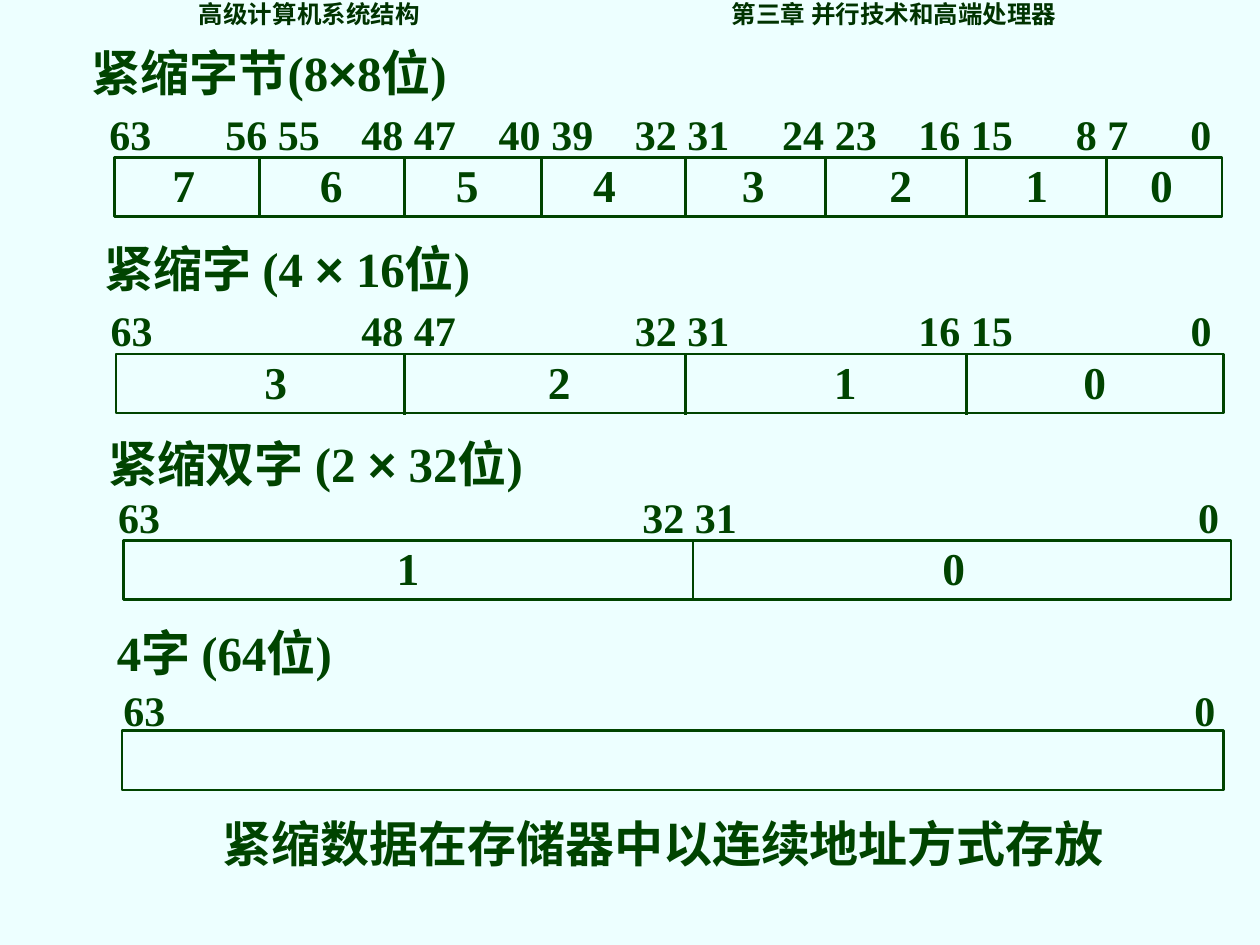
from dataclasses import dataclass

from lxml.etree import SubElement
from pptx import Presentation
from pptx.dml.color import RGBColor
from pptx.enum.shapes import MSO_CONNECTOR, MSO_SHAPE
from pptx.enum.text import MSO_ANCHOR, MSO_AUTO_SIZE, PP_ALIGN
from pptx.oxml.ns import qn
from pptx.util import Inches, Pt


@dataclass(frozen=True)
class Theme:
    background: RGBColor = RGBColor(0xED, 0xFF, 0xFF)
    ink: RGBColor = RGBColor(0x00, 0x44, 0x00)
    header_ink: RGBColor = RGBColor(0x00, 0x33, 0x00)
    latin: str = "Times New Roman"
    sign: str = "Arial"
    asian: str = "Noto Sans CJK SC"
    heading: int = 28
    cell: int = 26
    bit: int = 24
    header: int = 14
    line: float = 1.5


theme = Theme()
deck = Presentation()
deck.slide_width, deck.slide_height = Inches(10), Inches(7.5)
COLUMN = deck.slide_width / 10
ROW = deck.slide_height / 7.5


def place(shape, left, top, width, height):
    """Put a shape on the grid and set up its text frame."""
    shape.left, shape.width = int(left * COLUMN), int(width * COLUMN)
    shape.top, shape.height = int(top * ROW), int(height * ROW)
    frame = shape.text_frame
    frame.word_wrap = True
    frame.auto_size = MSO_AUTO_SIZE.NONE
    frame.vertical_anchor = MSO_ANCHOR.TOP
    return frame.paragraphs[0]


def write(para, runs, size, color=theme.ink, font=theme.latin, spacing=1.0,
          stops=(), align="l", origin=0):
    """Write runs; stops are slide columns, origin is the box's left edge."""
    para.alignment = PP_ALIGN.JUSTIFY
    para.line_spacing = spacing
    if stops:
        tabs = SubElement(para._p.get_or_add_pPr(), qn("a:tabLst"))
        for stop in stops:
            offset = int((stop - origin - 0.1) * COLUMN)
            SubElement(tabs, qn("a:tab"), pos=str(offset), algn=align)
    for text in runs:
        span = para.add_run()
        span.text = text
        span.font.size, span.font.bold = Pt(size), True
        span.font.color.rgb = color
        span.font.name = theme.sign if text == "×" else font
        SubElement(span._r.get_or_add_rPr(), qn("a:ea"), typeface=theme.asian)


page = deck.slides.add_slide(deck.slide_layouts[5])
page.background.fill.solid()
page.background.fill.fore_color.rgb = theme.background

# Running header
para = place(page.shapes.add_textbox(0, 0, 0, 0), 1.48, 0.01, 7.01, 0.27)
write(para, ["高级计算机系统结构\t第三章 并行技术和高端处理器"], theme.header,
      theme.header_ink, theme.asian, 0.7, [5.81], origin=1.48)
para.alignment = PP_ALIGN.LEFT

# Packed formats: heading, bit numbers, register bar, cells and dividers
byte_edges = [2.06, 3.21, 4.3, 5.44, 6.55, 7.67, 8.78]
byte_stops = [1.79, 2.87, 3.96, 5.04, 6.21, 7.29, 8.54, 9.45]
formats = [
    dict(heading=["紧缩字节(8", "×", "8位)"], heading_box=(0.63, 0.29, 3.48),
         bits_box=(0.77, 0.81), bar=(0.91, 1.25, 8.79), lanes=8,
         centers=[1.46, 2.63, 3.71, 4.8, 5.98, 7.15, 8.23, 9.22],
         edges=byte_edges, stops=byte_stops),
    dict(heading=["紧缩字 (4 ", "×", " 16位)"], heading_box=(0.73, 1.84, 3.45),
         bits_box=(0.78, 2.37), bar=(0.92, 2.81, 8.79), lanes=4,
         centers=[2.19, 4.44, 6.71, 8.69],
         edges=byte_edges[1::2], stops=byte_stops[1::2]),
    dict(heading=["紧缩双字 (2 ", "×", " 32位)"], heading_box=(0.76, 3.39, 4.04),
         bits_box=(0.84, 3.85), bar=(0.98, 4.29, 8.79), lanes=2,
         centers=[3.24, 7.57], edges=[5.5], stops=[5.1, 9.51]),
    dict(heading=["4字 (64位)"], heading_box=(0.83, 4.89, 2.88),
         bits_box=(0.88, 5.38), bar=(0.97, 5.8, 8.74), lanes=1,
         centers=[], edges=[], stops=[9.48]),
]

for index, packed in enumerate(formats):
    # Heading
    box = page.shapes.add_textbox(0, 0, 0, 0) if index else page.shapes.title
    write(place(box, *packed["heading_box"], 0.52), packed["heading"], theme.heading)

    # Register bar with its lane numbers
    left, top, width = packed["bar"]
    bar = page.shapes.add_shape(MSO_SHAPE.RECTANGLE, 0, 0, 0, 0)
    bar.shadow.inherit = False
    bar.fill.background()
    bar.line.color.rgb, bar.line.width = theme.ink, Pt(theme.line)
    para = place(bar, left, top, width, 0.47)
    if packed["centers"]:
        lanes = "".join(f"\t{lane}" for lane in reversed(range(packed["lanes"])))
        write(para, [lanes], theme.cell, spacing=0.9, stops=packed["centers"],
              align="ctr", origin=left)

    # Bit numbers on both sides of every lane edge
    step = 64 // packed["lanes"]
    pairs = [f"{bit} {bit - 1}" for bit in range(64 - step, 0, -step)]
    bits_left, bits_top = packed["bits_box"]
    para = place(page.shapes.add_textbox(0, 0, 0, 0), bits_left, bits_top,
                 10 - bits_left, 0.5)
    write(para, ["\t".join(["63", *pairs, "0"])], theme.bit,
          stops=packed["stops"], origin=bits_left)

    # Dividers
    for edge in packed["edges"]:
        x = int(edge * COLUMN)
        divider = page.shapes.add_connector(
            MSO_CONNECTOR.STRAIGHT, x, int((top + 0.01) * ROW),
            x, int((top + 0.48) * ROW))
        divider.line.color.rgb, divider.line.width = theme.ink, Pt(theme.line)
        SubElement(divider._element.spPr, qn("a:effectLst"))

# Closing statement
para = place(page.shapes.add_textbox(0, 0, 0, 0), 1.67, 6.41, 7.55, 0.61)
write(para, ["紧缩数据在存储器中以连续地址方式存放"], theme.heading)

deck.save("out.pptx")
